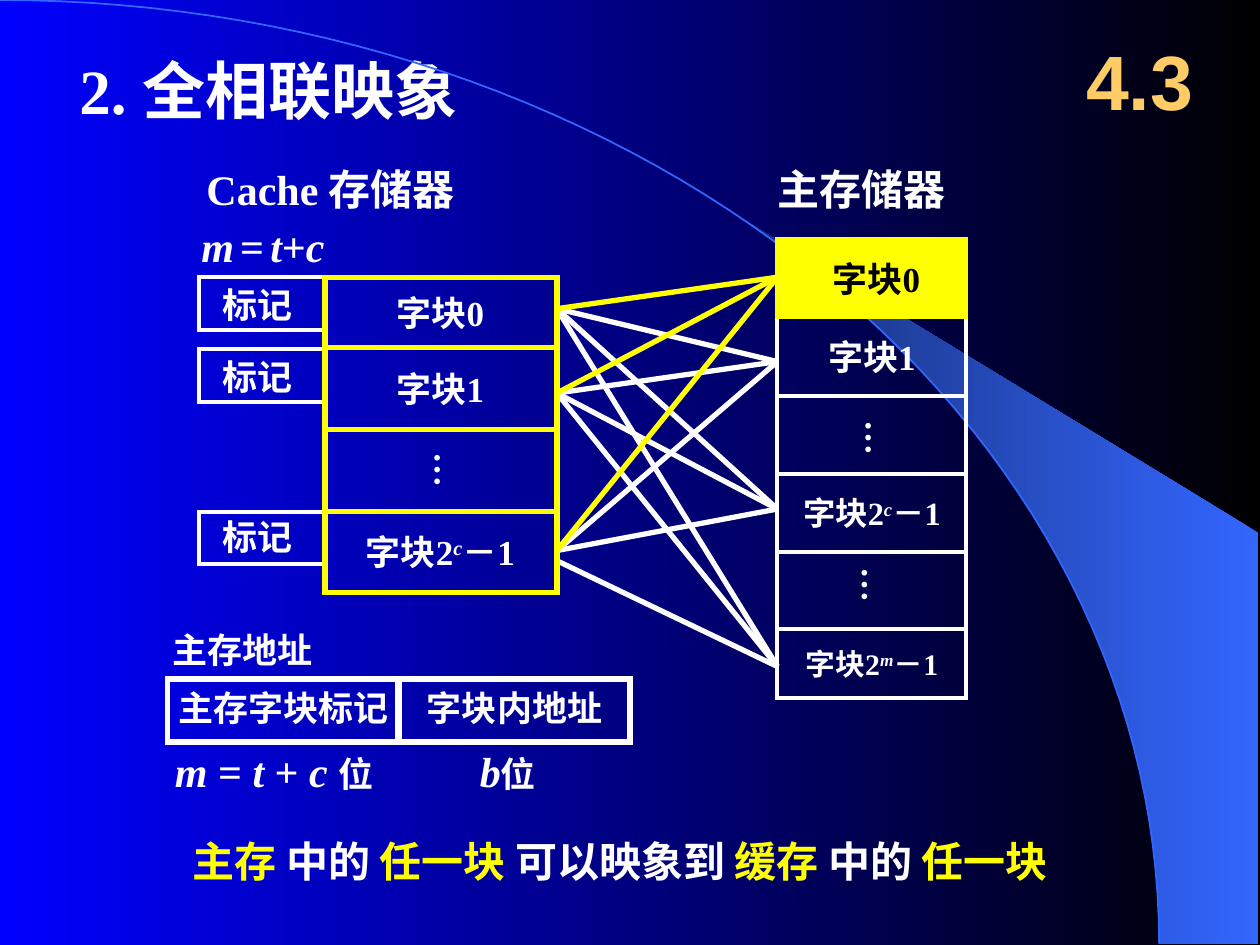
import math

from lxml import etree
from pptx import Presentation
from pptx.dml.color import RGBColor
from pptx.enum import shapes, text
from pptx.oxml import ns
from pptx.util import Inches, Pt

COLORS = {
    "white": "FFFFFF", "yellow": "FFFF00", "black": "000000", "blue": "0000FF",
    "sky": "3366FF", "navy": "172F75", "gold": "FFCC66",
}
SERIF = "Times New Roman"
LEFT, CENTER = text.PP_ALIGN.LEFT, text.PP_ALIGN.CENTER
TOP, MIDDLE = text.MSO_ANCHOR.TOP, text.MSO_ANCHOR.MIDDLE
ITALIC = {"italic": True}
POWER = {"italic": True, "raised": True}
CACHE_X, CACHE_RIGHT = 2.58, 4.42
CACHE_ROWS = [2.2, 2.76, 3.41, 4.06, 4.7]
MEMORY_X, MEMORY_RIGHT = 6.17, 7.67
MEMORY_ROWS = [1.9, 2.52, 3.14, 3.76, 4.38, 4.99, 5.54]
CACHE_PORTS = [2.45, 3.12, 4.37]
MEMORY_PORTS = [2.2, 2.87, 4.04, 5.29]


def rgb(name):
    """Return the named colour."""
    return RGBColor.from_string(COLORS[name])


def set_gradient(fill, start, end):
    """Fill with a gradient that runs from right to left."""
    fill.gradient()
    fill.gradient_angle = 180
    for stop, name in zip(fill.gradient_stops, (start, end)):
        stop.color.rgb = rgb(name)


def set_frame(frame, anchor=TOP, wrap=True, margins=(0.1, 0.05)):
    """Set the margins, anchor and wrapping of a text frame."""
    frame.margin_left = frame.margin_right = Inches(margins[0])
    frame.margin_top = frame.margin_bottom = Inches(margins[1])
    frame.vertical_anchor = anchor
    frame.word_wrap = wrap
    fit = text.MSO_AUTO_SIZE
    frame.auto_size = fit.NONE if wrap else fit.SHAPE_TO_FIT_TEXT


def write(frame, spans, size=20, color="white", face=SERIF, align=LEFT):
    """Write one bold paragraph from a string or (text, style) spans."""
    para = frame.paragraphs[0]
    para.alignment = align
    font = para.font
    font.name, font.size, font.bold = face, Pt(size), True
    font.color.rgb = rgb(color)
    for words, style in [(spans, {})] if isinstance(spans, str) else spans:
        span = para.add_run()
        span.text = words
        if "italic" in style:
            span.font.italic = style["italic"]
        if "size" in style:
            span.font.size = Pt(style["size"])
        if "color" in style:
            span.font.color.rgb = rgb(style["color"])
        if "raised" in style:
            span.font._element.set("baseline", "30000")


def add_label(page, at, spans, size=20):
    """Add a left-aligned text box for a single line."""
    box = page.shapes.add_textbox(*map(Inches, at))
    set_frame(box.text_frame)
    box.text_frame.margin_right = 0
    write(box.text_frame, spans, size)


def add_cell(page, at, spans, size=20, margins=(0.1, 0)):
    """Add centred text in a cell of a memory column."""
    box = page.shapes.add_textbox(*map(Inches, at))
    set_frame(box.text_frame, MIDDLE, margins=margins)
    write(box.text_frame, spans, size, align=CENTER)


def add_dots(page, left, top):
    """Add a vertical ellipsis."""
    box = page.shapes.add_textbox(*map(Inches, (left, top, 0.53, 0.38)))
    set_frame(box.text_frame, wrap=False, margins=(0.05, 0.1))
    box.text_frame._txBody.bodyPr.set("vert", "eaVert")
    write(box.text_frame, "…")


def add_line(page, start, end, color="white", width=3):
    """Add a straight line."""
    line = page.shapes.add_connector(
        shapes.MSO_CONNECTOR.STRAIGHT, *map(Inches, start + end))
    line.line.color.rgb = rgb(color)
    line.line.width = Pt(width)
    etree.SubElement(line._element.spPr, ns.qn("a:effectLst"))


def add_column(page, left, right, rows, color, width):
    """Draw the rules of a column of memory blocks with closed corners."""
    for row in rows:
        add_line(page, (left, row), (right, row), color, width)
    half = width / 144
    for side in (left, right):
        add_line(page, (side, rows[0] - half), (side, rows[-1] + half), color, width)


def add_box(page, at, color, width):
    """Add an unfilled rectangle with square corners."""
    box = page.shapes.add_shape(shapes.MSO_SHAPE.RECTANGLE, *map(Inches, at))
    box.shadow.inherit = False
    box.fill.background()
    box.line.color.rgb = rgb(color)
    box.line.width = Pt(width)
    join = etree.SubElement(box._element.spPr.find(ns.qn("a:ln")), ns.qn("a:miter"))
    join.set("lim", "800000")
    return box


def arc_points(start, steps=60):
    """Return points on the large quarter ellipse from an angle onwards."""
    angles = [start + (math.pi / 2 - start) * i / steps for i in range(steps + 1)]
    return [(9.2 * math.sin(a), 7.49 * (1 - math.cos(a))) for a in angles]


def add_outline(page, points, close):
    """Add a freeform through points given in inches."""
    spots = [(Inches(x), Inches(y)) for x, y in points]
    builder = page.shapes.build_freeform(*spots[0])
    builder.add_line_segments(spots[1:], close=close)
    outline = builder.convert_to_shape()
    outline.shadow.inherit = False
    return outline


def add_backdrop(page):
    """Draw the gradient background, the beam and the arc."""
    set_gradient(page.background.fill, "black", "blue")
    edge = arc_points(math.asin(5.89 / 9.2))
    beam = add_outline(page, edge + [(9.99, 7.49), (9.99, 4.23)], True)
    set_gradient(beam.fill, "sky", "navy")
    beam.line.fill.background()
    arc = add_outline(page, arc_points(0), False)
    arc.fill.background()
    arc.line.color.rgb = rgb("sky")
    arc.line.width = Pt(1)


def add_memory(page):
    """Draw the main memory column."""
    blocks = {
        1: ("字块1", 20),
        3: ([("字块2", {}), ("c", POWER), ("－1", {})], 18.5),
        5: ([("字块2", {}), ("m", POWER), ("－1", {})], 17),
    }
    for row, (spans, size) in blocks.items():
        top, bottom = MEMORY_ROWS[row:row + 2]
        add_cell(page, (MEMORY_X, top, 1.5, bottom - top), spans, size)
    add_column(page, MEMORY_X, MEMORY_RIGHT, MEMORY_ROWS, "white", 2.25)
    add_dots(page, 6.67, 3.24)
    add_dots(page, 6.64, 4.4)


def add_cache(page):
    """Draw the cache column with its tags."""
    last = [("字块2", {}), ("c", POWER), ("－1", {})]
    for row, spans in {0: "字块0", 1: "字块1", 3: last}.items():
        top, bottom = CACHE_ROWS[row:row + 2]
        add_cell(page, (CACHE_X, top, 1.83, bottom - top), spans, margins=(0.1, 0.05))
    add_dots(page, 3.25, 3.49)
    for frame_top, label_top in ((2.2, 2.2), (2.77, 2.77), (4.06, 4.04)):
        add_box(page, (1.58, frame_top, 1, 0.42), "white", 2.25)
        add_label(page, (1.67, label_top, 0.75, 0.44), "标记")
    add_column(page, CACHE_X, CACHE_RIGHT, CACHE_ROWS, "yellow", 3)


def add_links(page, targets, color):
    """Link every cache block to the given memory blocks."""
    for source in CACHE_PORTS:
        for target in targets:
            lowest = source == CACHE_PORTS[-1] and target == MEMORY_PORTS[-1]
            start = 4.45 if lowest else source
            add_line(page, (CACHE_RIGHT, start), (MEMORY_X, target), color)


def add_chosen_block(page):
    """Highlight the first memory block."""
    box = add_box(page, (MEMORY_X, 1.9, 1.5, 0.62), "yellow", 2.25)
    box.fill.solid()
    box.fill.fore_color.rgb = rgb("yellow")
    set_frame(box.text_frame, MIDDLE, margins=(0.1, 0))
    box.text_frame.margin_left = Inches(0.17)
    write(box.text_frame, "字块0", color="black", align=CENTER)


def add_address(page):
    """Draw the main memory address and its two fields."""
    add_label(page, (1.27, 4.94, 1.31, 0.44), "主存地址")
    add_label(page, (1.32, 5.4, 1.87, 0.44), "主存字块标记")
    add_label(page, (3.29, 5.4, 1.59, 0.44), "字块内地址")
    for left in (1.33, 3.17):
        add_box(page, (left, 5.39, 1.83, 0.5), "white", 3)
    unit = ("位", {"size": 20})
    add_label(page, (1.29, 5.87, 1.85, 0.5), [
        ("m", ITALIC), (" = ", {}), ("t", ITALIC), (" + ", {}), ("c ", ITALIC), unit], 24)
    add_label(page, (3.71, 5.87, 0.72, 0.5), [("b", ITALIC), unit], 24)


def add_headings(page):
    """Write the title, section number, column headings and conclusion."""
    title = page.shapes.title
    title.left, title.top, title.width, title.height = map(Inches, (0.53, 0.36, 3.32, 0.7))
    set_frame(title.text_frame, wrap=False)
    write(title.text_frame, "2. 全相联映象", 36)
    number = page.shapes.add_textbox(*map(Inches, (8.42, 0.17, 1.25, 0.92)))
    set_frame(number.text_frame, MIDDLE)
    write(number.text_frame, "4.3", 44, "gold", "Arial", CENTER)
    add_label(page, (1.54, 1.25, 2.25, 0.5), "Cache 存储器", 24)
    add_label(page, (6.07, 1.25, 1.53, 0.5), "主存储器", 24)
    thin = (" ", {"size": 14})
    add_label(page, (1.5, 1.7, 1.17, 0.5), [
        ("m", ITALIC), thin, ("=", {}), thin, ("t", ITALIC), ("+", {}), ("c", ITALIC)], 24)
    words = ["主存 ", "中的 ", "任一块 ", "可以映象到 ", "缓存 ", "中的 ", "任一块"]
    tones = ({"color": "yellow"}, {"color": "white"})
    spans = [(word, tones[i % 2]) for i, word in enumerate(words)]
    add_label(page, (1.43, 6.58, 8.07, 0.5), spans, 24)


def main():
    """Build the slide and save it."""
    deck = Presentation()
    deck.slide_width, deck.slide_height = Inches(10), Inches(7.5)
    page = deck.slides.add_slide(deck.slide_layouts[5])
    add_backdrop(page)
    add_headings(page)
    add_memory(page)
    add_links(page, MEMORY_PORTS[1:], "white")
    add_cache(page)
    add_chosen_block(page)
    add_links(page, MEMORY_PORTS[:1], "yellow")
    add_address(page)
    deck.save("out.pptx")


if __name__ == "__main__":
    main()
